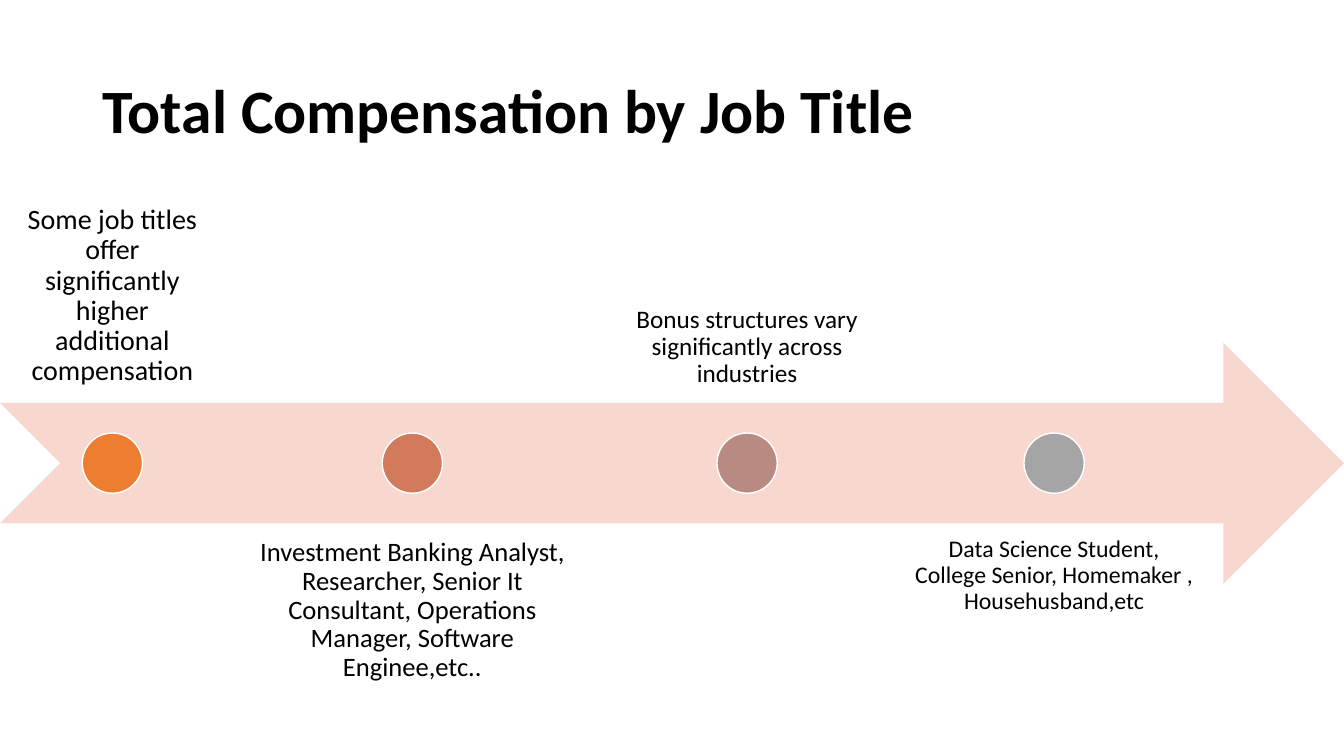
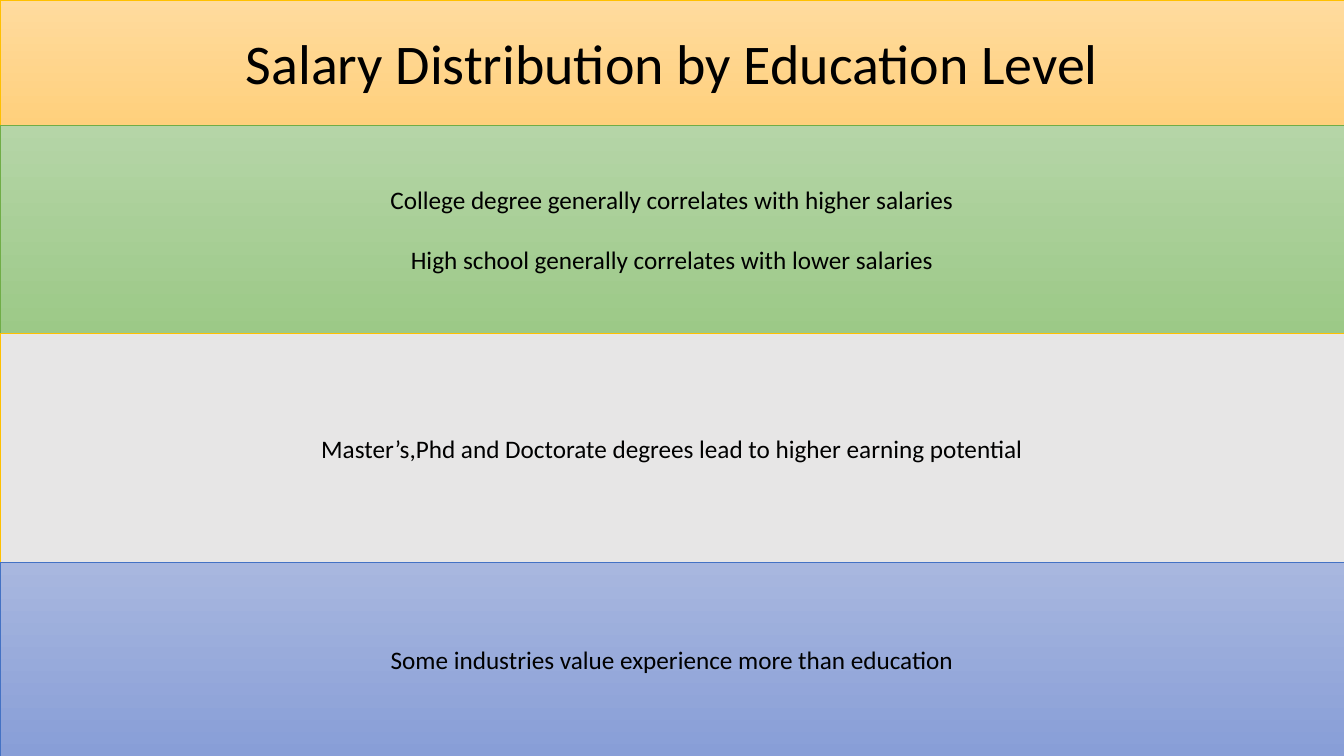
from pptx import Presentation
from pptx.dml.color import RGBColor
from pptx.enum.shapes import MSO_SHAPE
from pptx.enum.text import MSO_ANCHOR, PP_ALIGN
from pptx.util import Inches, Pt

WIDTH, HEIGHT = 13.33, 7.5
FONT = "Calibri"
BLACK = RGBColor(0x00, 0x00, 0x00)
WHITE = RGBColor(0xFF, 0xFF, 0xFF)
PEACH = RGBColor(0xF8, 0xD7, 0xCE)
ORANGE = RGBColor(0xED, 0x7D, 0x31)
TERRACOTTA = RGBColor(0xD1, 0x7B, 0x5C)
ROSE = RGBColor(0xB9, 0x8A, 0x82)
GRAY = RGBColor(0xA5, 0xA5, 0xA5)
LIGHT_GRAY = RGBColor(0xE7, 0xE6, 0xE6)
GOLD = RGBColor(0xFF, 0xC0, 0x00)
GOLD_TINTS = (RGBColor(0xFF, 0xDB, 0x9E), RGBColor(0xFF, 0xD0, 0x7C))
GREEN = RGBColor(0x70, 0xAD, 0x47)
GREEN_TINTS = (RGBColor(0xB5, 0xD5, 0xA7), RGBColor(0x9C, 0xC9, 0x87))
BLUE = RGBColor(0x44, 0x72, 0xC4)
BLUE_TINTS = (RGBColor(0xA8, 0xB7, 0xDF), RGBColor(0x88, 0x9E, 0xD7))

JOB_TITLE = "Total Compensation by Job Title"
# text, column width, text size, dot colour
STEPS = [
    ("Some job titles offer significantly higher additional compensation",
     2.21, 20, ORANGE),
    ("Investment Banking Analyst, Researcher, Senior It Consultant, "
     "Operations Manager, Software Enginee,etc..", 3.64, 19, TERRACOTTA),
    ("Bonus structures vary significantly across industries", 2.9, 18, ROSE),
    ("Data Science Student, College Senior, Homemaker , Househusband,etc",
     3.09, 17, GRAY),
]
ARROW_TOP, ARROW_HEIGHT = 3.4, 2.39
DOT = ARROW_HEIGHT / 4
LABEL_HEIGHT = 2.3
COLUMN_GAP = 0.05
INSET_PER_POINT = 0.008

# paragraphs, text size, height, fill colours, border
BANDS = [
    (["Salary Distribution by Education Level"], 40, 1.24, GOLD_TINTS, GOLD),
    (["College degree generally correlates with higher salaries",
      "High school generally correlates with lower salaries"],
     18, 2.07, GREEN_TINTS, GREEN),
    (["Master’s,Phd and Doctorate degrees lead to higher earning potential"],
     18, 2.27, (LIGHT_GRAY,), GOLD),
    (["Some industries value experience more than education"],
     18, 1.92, BLUE_TINTS, BLUE),
]
PARAGRAPH_GAP = 21


def box(left, top, width, height):
    return [Inches(length) for length in (left, top, width, height)]


def add_filled(slide, preset, place, colors, border=None, border_width=1):
    """Add a preset shape with a solid fill or a downward gradient."""
    shape = slide.shapes.add_shape(preset, *box(*place))
    shape.shadow.inherit = False
    if len(colors) == 1:
        shape.fill.solid()
        shape.fill.fore_color.rgb = colors[0]
    else:
        shape.fill.gradient()
        shape.fill.gradient_angle = 270
        for stop, color in zip(shape.fill.gradient_stops, colors):
            stop.color.rgb = color
    if border is None:
        shape.line.fill.background()
    else:
        shape.line.color.rgb = border
        shape.line.width = Pt(border_width)
    return shape


def write(frame, paragraphs, size, anchor=MSO_ANCHOR.MIDDLE,
          align=PP_ALIGN.CENTER, bold=False, spacing=1.0, gap=0):
    frame.word_wrap = True
    frame.vertical_anchor = anchor
    for index, text in enumerate(paragraphs):
        paragraph = frame.add_paragraph() if index else frame.paragraphs[0]
        paragraph.alignment = align
        paragraph.line_spacing = spacing
        if index:
            paragraph.space_before = Pt(gap)
        run = paragraph.add_run()
        run.text = text
        run.font.name = FONT
        run.font.size = Pt(size)
        run.font.bold = bold
        run.font.color.rgb = BLACK


def add_label(slide, place, text, size, anchor):
    frame = slide.shapes.add_textbox(*box(*place)).text_frame
    inset = Inches(size * INSET_PER_POINT)
    frame.margin_left = frame.margin_right = inset
    frame.margin_top = frame.margin_bottom = inset
    write(frame, [text], size, anchor, spacing=0.9)


def build_timeline(slide):
    title = slide.shapes.add_textbox(*box(0.92, 0.4, 11.5, 1.45))
    write(title.text_frame, [JOB_TITLE], 44, align=PP_ALIGN.LEFT,
          bold=True, spacing=0.9)
    add_filled(slide, MSO_SHAPE.NOTCHED_RIGHT_ARROW,
               (0, ARROW_TOP, WIDTH, ARROW_HEIGHT), (PEACH,))
    middle = ARROW_TOP + ARROW_HEIGHT / 2
    left = 0.01
    for index, (text, width, size, color) in enumerate(STEPS):
        if index % 2:
            top, anchor = middle + DOT, MSO_ANCHOR.TOP
        else:
            top, anchor = middle - DOT - LABEL_HEIGHT, MSO_ANCHOR.BOTTOM
        add_label(slide, (left, top, width, LABEL_HEIGHT), text, size, anchor)
        add_filled(slide, MSO_SHAPE.OVAL,
                   (left + (width - DOT) / 2, middle - DOT / 2, DOT, DOT),
                   (color,), WHITE)
        left += width + COLUMN_GAP


def build_bands(slide):
    top = 0
    for paragraphs, size, height, colors, border in BANDS:
        band = add_filled(slide, MSO_SHAPE.RECTANGLE, (0, top, WIDTH, height),
                          colors, border, 0.5)
        write(band.text_frame, paragraphs, size, gap=PARAGRAPH_GAP)
        top += height


def main():
    deck = Presentation()
    deck.slide_width, deck.slide_height = Inches(WIDTH), Inches(HEIGHT)
    for build in (build_timeline, build_bands):
        build(deck.slides.add_slide(deck.slide_layouts[6]))
    deck.save("out.pptx")


if __name__ == "__main__":
    main()
